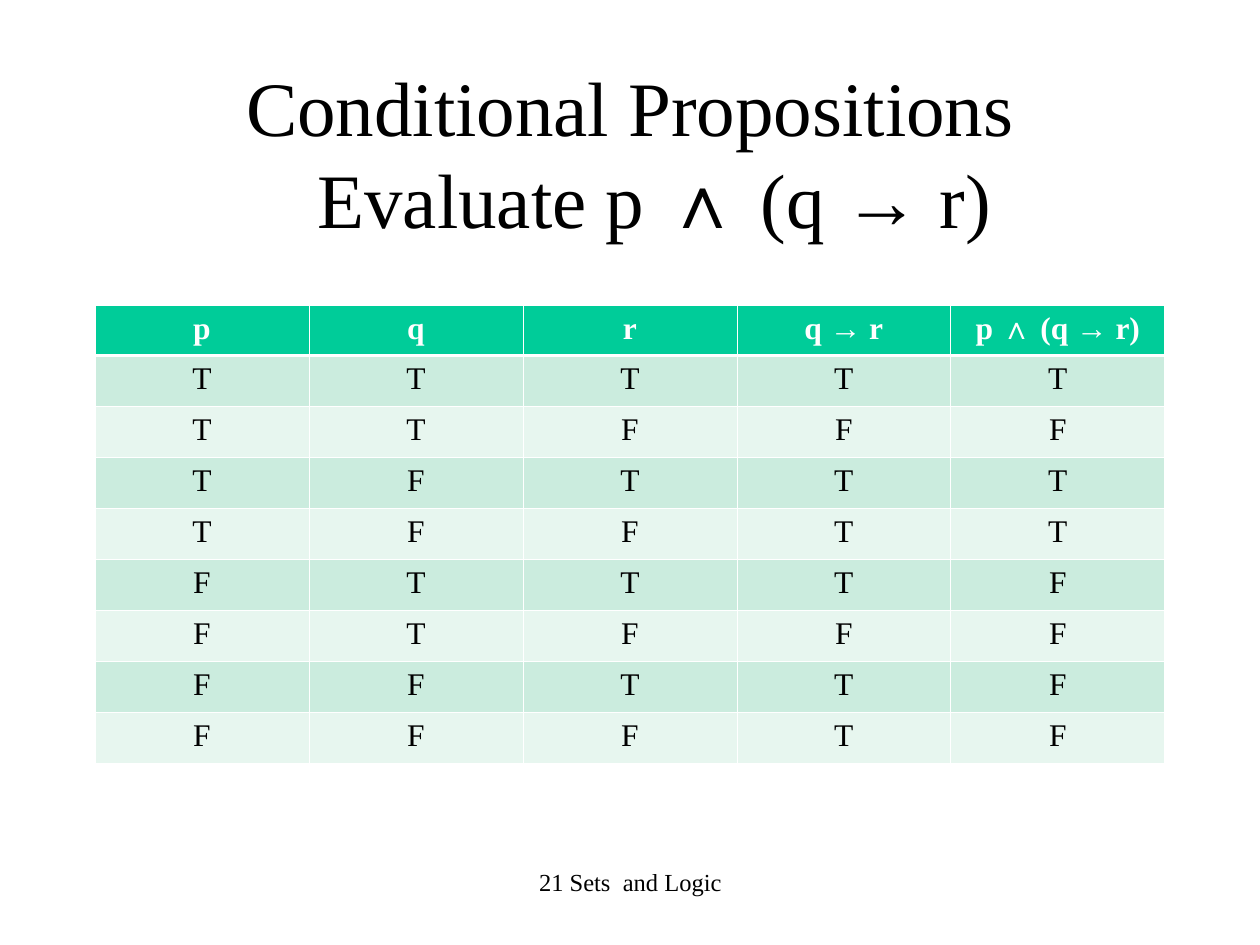
import lxml.etree
import pptx
import pptx.dml.color
import pptx.enum.text
import pptx.oxml.ns
import pptx.util

TITLE = "Conditional Propositions\nEvaluate p ∧ (q → r)"
FOOTER = "21 Sets  and Logic"
HEADINGS = ["p", "q", "r", "q → r", "p ∧ (q → r)"]
TRUTH_ROWS = ["TTTTT", "TTFFF", "TFTTT", "TFFTT", "FTTTF", "FTFFF", "FFTTF", "FFFTF"]

COLORS = {
    "text": "000000",
    "header": "00CC99",
    "header text": "FFFFFF",
    "odd row": "CBECDE",
    "even row": "E7F6EF",
    "border": "FFFFFF",
}
FONT, SYMBOL_FONT, SYMBOL = "Times New Roman", "Arial", "∧"
THIN, THICK = 0.45, 1.5

PX = 914400 // 126
LEFT, COLUMN_WIDTH = 95, 214
TABLE_TOP, HEADER_HEIGHT, ROW_HEIGHT = 305, 50, 51


def px(length):
    return pptx.util.Emu(length * PX)


def rgb(name):
    return pptx.dml.color.RGBColor.from_string(COLORS[name])


def write(paragraph, text, size, color, bold=False):
    """Write centred text, with the logic symbol in its own font."""
    paragraph.alignment = pptx.enum.text.PP_ALIGN.CENTER
    for number, line in enumerate(text.split("\n")):
        if number:
            paragraph.add_line_break()
        before, symbol, after = line.partition(SYMBOL)
        for piece in filter(None, (before, symbol, after)):
            run = paragraph.add_run()
            run.text = piece
            run.font.name = SYMBOL_FONT if piece == SYMBOL else FONT
            run.font.size = pptx.util.Pt(size)
            run.font.bold = bold
            run.font.color.rgb = rgb(color)


def add_text_box(slide, left, top, width, height, text, size):
    box = slide.shapes.add_textbox(px(left), px(top), px(width), px(height))
    box.text_frame.word_wrap = True
    write(box.text_frame.paragraphs[0], text, size, "text")
    return box


def set_borders(cell, top, bottom):
    properties = cell._tc.get_or_add_tcPr()
    widths = {"a:lnL": THIN, "a:lnR": THIN, "a:lnT": top, "a:lnB": bottom}
    for index, (tag, width) in enumerate(widths.items()):
        line = lxml.etree.Element(pptx.oxml.ns.qn(tag), w=str(pptx.util.Pt(width)))
        fill = lxml.etree.SubElement(line, pptx.oxml.ns.qn("a:solidFill"))
        lxml.etree.SubElement(fill, pptx.oxml.ns.qn("a:srgbClr"), val=COLORS["border"])
        properties.insert(index, line)


def add_truth_table(slide):
    rows = [HEADINGS, *TRUTH_ROWS]
    height = HEADER_HEIGHT + ROW_HEIGHT * len(TRUTH_ROWS)
    table = slide.shapes.add_table(
        len(rows), len(HEADINGS), px(LEFT), px(TABLE_TOP),
        px(COLUMN_WIDTH * len(HEADINGS)), px(height)).table
    for column in table.columns:
        column.width = px(COLUMN_WIDTH)
    for row_index, values in enumerate(rows):
        is_header = row_index == 0
        table.rows[row_index].height = px(HEADER_HEIGHT if is_header else ROW_HEIGHT)
        band = "header" if is_header else "odd row" if row_index % 2 else "even row"
        for column_index, value in enumerate(values):
            cell = table.cell(row_index, column_index)
            cell.fill.solid()
            cell.fill.fore_color.rgb = rgb(band)
            set_borders(cell, top=THICK if row_index == 1 else THIN,
                        bottom=THICK if is_header else THIN)
            write(cell.text_frame.paragraphs[0], value, 18,
                  "header text" if is_header else "text", bold=is_header)


def main():
    presentation = pptx.Presentation()
    presentation.slide_width, presentation.slide_height = px(1260), px(945)
    slide = presentation.slides.add_slide(presentation.slide_layouts[6])

    add_text_box(slide, 431, 861, 399, 63, FOOTER, 14)

    title = add_text_box(slide, LEFT, 116, 1071, 157, TITLE, 44)
    title.text_frame.vertical_anchor = pptx.enum.text.MSO_ANCHOR.MIDDLE
    title.text_frame.margin_bottom = px(92)
    indent = title.text_frame.paragraphs[0]._p.get_or_add_pPr()
    indent.set("marL", str(px(48)))
    indent.set("indent", str(px(-48)))

    add_truth_table(slide)
    presentation.save("out.pptx")


if __name__ == "__main__":
    main()
